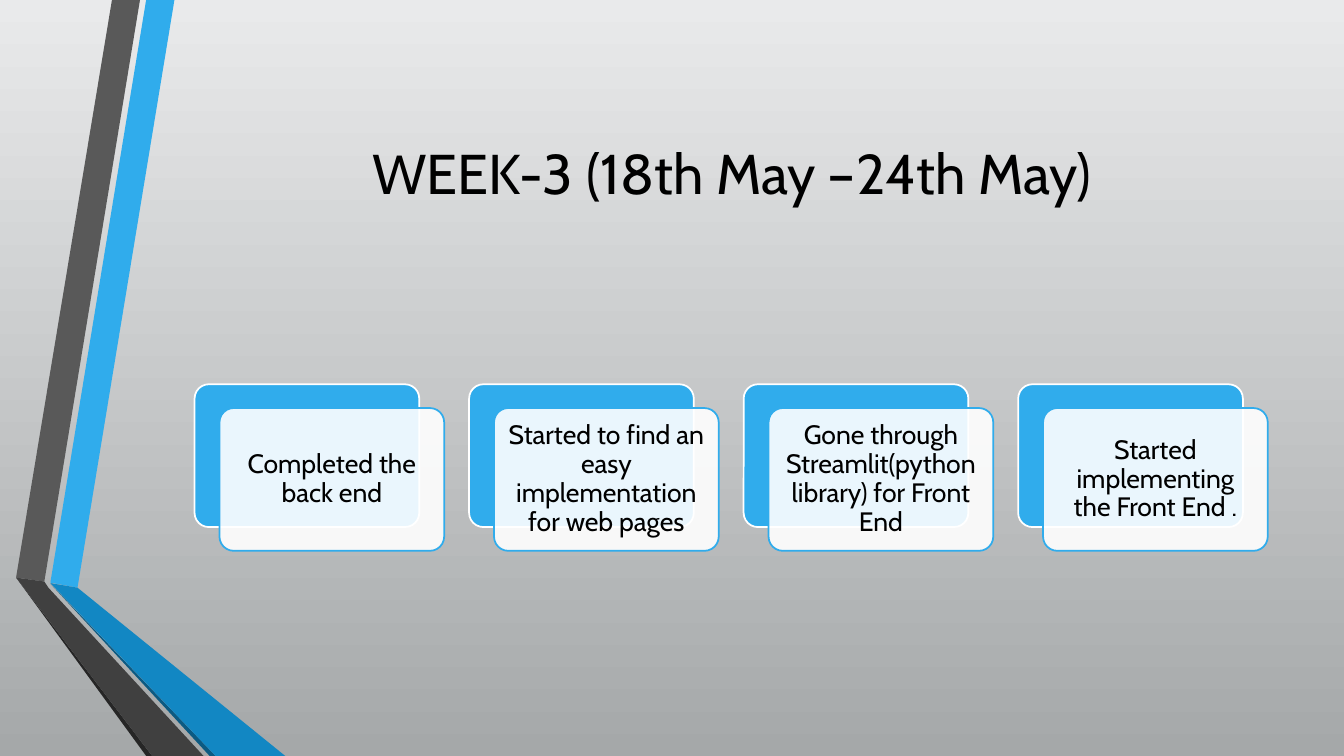
import pptx
import pptx.util
import pptx.dml.color
import pptx.enum.shapes
import pptx.enum.text
import pptx.oxml
import pptx.oxml.ns

Pt = pptx.util.Pt
BLUE, WHITE, BLACK = "30ACEC", "FFFFFF", "000000"


def rgb(value):
    return pptx.dml.color.RGBColor.from_string(value)


class Deck:
    font = "Cabin"

    def __init__(self, width, height):
        self.prs = pptx.Presentation()
        self.prs.slide_width, self.prs.slide_height = Pt(width), Pt(height)
        self.s = self.prs.slides.add_slide(self.prs.slide_layouts[6])

    def background(self, top, bottom):
        fill = self.s.background.fill
        fill.gradient()
        fill.gradient_angle = 270
        for stop, color in zip(fill.gradient_stops, (top, bottom)):
            stop.color.rgb = rgb(color)

    def paint(self, sp, fill, line=None, alpha=None):
        sp.shadow.inherit = False
        sp.fill.solid()
        sp.fill.fore_color.rgb = rgb(fill)
        if alpha:
            clr = sp._element.spPr.find(".//" + pptx.oxml.ns.qn("a:srgbClr"))
            clr.append(pptx.oxml.parse_xml(
                f'<a:alpha {pptx.oxml.ns.nsdecls("a")} val="{alpha * 1000}"/>'))
        if line:
            sp.line.color.rgb = rgb(line)
            sp.line.width = Pt(1.25)
        else:
            sp.line.fill.background()

    def ribbon(self, points, fill):
        points = [(Pt(x), Pt(y)) for x, y in points]
        builder = self.s.shapes.build_freeform(*points[0])
        builder.add_line_segments(points[1:])
        self.paint(builder.convert_to_shape(), fill)

    def panel(self, x, y, w, h, fill, line, alpha=None):
        sp = self.s.shapes.add_shape(
            pptx.enum.shapes.MSO_SHAPE.ROUNDED_RECTANGLE, Pt(x), Pt(y), Pt(w), Pt(h))
        sp.adjustments[0] = 0.1
        self.paint(sp, fill, line, alpha)
        return sp

    def label(self, sp, text, size, inset, spacing=1.0):
        tf = sp.text_frame
        tf.word_wrap = True
        tf.vertical_anchor = pptx.enum.text.MSO_ANCHOR.MIDDLE
        tf.margin_left = tf.margin_right = tf.margin_top = tf.margin_bottom = Pt(inset)
        p = tf.paragraphs[0]
        p.alignment = pptx.enum.text.PP_ALIGN.CENTER
        p.line_spacing = spacing
        r = p.add_run()
        r.text = text
        r.font.name, r.font.size = self.font, Pt(size)
        r.font.color.rgb = rgb(BLACK)

    def title(self, x, y, w, h, text):
        self.label(self.s.shapes.add_textbox(Pt(x), Pt(y), Pt(w), Pt(h)), text, 40, 5)

    def card(self, x, y, w, h, text):
        self.panel(x, y, w, h, BLUE, WHITE)
        front = self.panel(x + 17.8, y + 17, w, h, WHITE, BLUE, 90)
        self.label(front, text, 19, 5.8, 0.9)


RIBBONS = [
    (BLUE, [(36, 416.2), (55.4, 419.8), (124.6, 0), (104.4, 0)]),
    ("595959", [(100, 0), (80, 0), (11.5, 412.6), (31.7, 415.4)]),
    ("262626", [(11.5, 412.6), (104.4, 540), (108.7, 540)]),
    ("0C5A82", [(36, 416.9), (149.8, 540), (154.1, 540)]),
    ("1287C3", [(36, 416.5), (154.1, 540), (203.8, 540), (55.4, 419.8)]),
    ("404040", [(145.4, 540), (34.6, 419.8), (31.7, 415.4), (11.5, 412.6), (108.7, 540)]),
]
TASKS = [
    "Completed the back end",
    "Started to find an easy implementation for web pages",
    "Gone through Streamlit(python library) for Front End",
    "Started implementing the Front End .",
]

deck = Deck(960, 540)
deck.background("E9EAEB", "A5A8A9")
for color, outline in RIBBONS:
    deck.ribbon(outline, color)
deck.title(139, 54, 767, 138, "WEEK-3 (18th May –24th May)")
for i, task in enumerate(TASKS):
    deck.card(139 + 196.1 * i, 274.5, 160.5, 102, task)
deck.prs.save("out.pptx")
